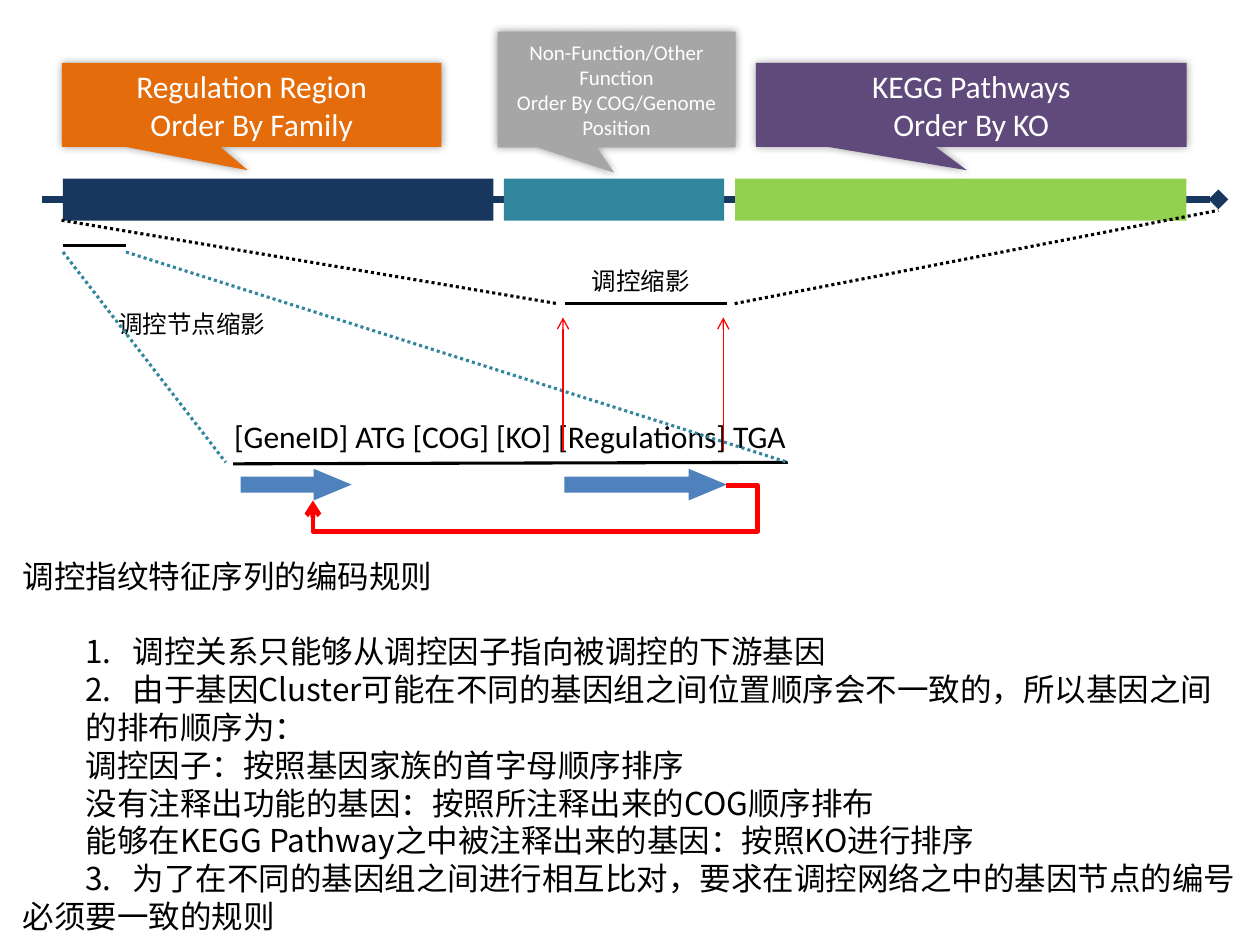
"""Builds the slide on the coding rules of regulation fingerprint sequences."""
from lxml import etree
from pptx import Presentation
from pptx import util as u
from pptx.dml.color import RGBColor
from pptx.enum import dml, shapes, text
from pptx.oxml.ns import qn

COLORS = {
    "navy": "17375E", "teal": "31859C", "green": "92D050", "orange": "E46C0A",
    "gray": "A6A6A6", "purple": "604A7B", "blue": "4F81BD", "red": "FF0000",
    "black": "000000", "white": "FFFFFF",
}
LATIN, CHINESE = "Calibri", "Noto Sans CJK SC"


def add_span(para, words, size, color, font):
    span = para.add_run()
    span.text = words
    span.font.size = u.Pt(size)
    span.font.name = font
    span.font.color.rgb = RGBColor.from_string(COLORS[color])
    if font == CHINESE:
        etree.SubElement(span.font._element, qn("a:ea"), typeface=font)


def add_line(kind, ends, color, width, dash=None, tail=None):
    line = page.shapes.add_connector(kind, *[u.Cm(value) for value in ends])
    line.line.color.rgb = RGBColor.from_string(COLORS[color])
    line.line.width = u.Pt(width)
    if dash:
        line.line.dash_style = dash
    properties = line._element.spPr
    if tail:
        etree.SubElement(properties.find(qn("a:ln")), qn("a:tailEnd"), type=tail)
    etree.SubElement(properties, qn("a:effectLst"))
    return line


deck = Presentation()
deck.slide_width, deck.slide_height = u.Cm(25.4), u.Cm(19.05)
page = deck.slides.add_slide(deck.slide_layouts[1])
STRAIGHT = shapes.MSO_CONNECTOR.STRAIGHT
DOTS = dml.MSO_LINE.ROUND_DOT

add_line(STRAIGHT, (0.84, 4.02, 24.56, 4.02), "navy", 3.75, tail="diamond")

RECTANGLE = shapes.MSO_SHAPE.RECTANGLE
CALLOUT = shapes.MSO_SHAPE.RECTANGULAR_CALLOUT
ARROW = shapes.MSO_SHAPE.RIGHT_ARROW
blocks = [
    (RECTANGLE, (1.27, 3.6, 8.68, 0.85), "navy", (), 0, ()),
    (RECTANGLE, (10.16, 3.6, 4.44, 0.85), "teal", (), 0, ()),
    (RECTANGLE, (14.82, 3.6, 9.1, 0.85), "green", (), 0, ()),
    (CALLOUT, (1.25, 1.27, 7.65, 1.69), "orange", (-0.01, 0.78), 18,
     ("Regulation Region", "Order By Family")),
    (CALLOUT, (10.03, 0.64, 4.8, 2.33), "gray", (-0.01, 0.72), 12,
     ("Non-Function/Other Function", "Order By COG/Genome Position")),
    (CALLOUT, (15.24, 1.27, 8.68, 1.69), "purple", (-0.01, 0.78), 18,
     ("KEGG Pathways", "Order By KO")),
    (ARROW, (11.38, 9.45, 3.27, 0.64), "blue", (0.5, 1.2), 0, ()),
    (ARROW, (4.85, 9.45, 2.24, 0.64), "blue", (0.5, 1.2), 0, ()),
]
for kind, place, color, adjustments, size, lines in blocks:
    block = page.shapes.add_shape(kind, *[u.Cm(value) for value in place])
    block.fill.solid()
    block.fill.fore_color.rgb = RGBColor.from_string(COLORS[color])
    block.line.fill.background()
    block.shadow.inherit = False
    for index, value in enumerate(adjustments):
        block.adjustments[index] = value
    if kind == CALLOUT:
        effects = block._element.spPr.find(qn("a:effectLst"))
        glow = etree.SubElement(effects, qn("a:outerShdw"), blurRad=str(u.Pt(5)),
                                dist="0", dir="0", algn="ctr", rotWithShape="0")
        shade = etree.SubElement(glow, qn("a:srgbClr"), val=COLORS["black"])
        etree.SubElement(shade, qn("a:alpha"), val="40000")
    frame = block.text_frame
    frame.vertical_anchor = text.MSO_ANCHOR.MIDDLE
    for index, words in enumerate(lines):
        para = frame.add_paragraph() if index else frame.paragraphs[0]
        para.alignment = text.PP_ALIGN.CENTER
        add_span(para, words, size, "white", LATIN)

labels = [
    ((4.47, 8.28, 14.4, 1.02), "[GeneID] ATG [COG] [KO] [Regulations] TGA", 18, LATIN, True),
    ((11.68, 5.23, 2.51, 0.86), "调控缩影", 14, CHINESE, False),
    ((2.13, 6.1, 3.51, 0.86), "调控节点缩影", 14, CHINESE, False),
]
for place, words, size, font, wrap in labels:
    box = page.shapes.add_textbox(*[u.Cm(value) for value in place])
    box.text_frame.word_wrap = wrap
    add_span(box.text_frame.paragraphs[0], words, size, "black", font)

for ends, color, dash in [
    ((11.38, 6.12, 14.66, 6.12), "black", None),
    ((1.24, 4.44, 11.23, 6.12), "black", DOTS),
    ((14.81, 6.12, 24.56, 4.24), "black", DOTS),
    ((1.27, 4.95, 2.54, 4.95), "black", None),
    ((4.7, 9.35, 15.88, 9.32), "black", None),
    ((1.27, 5.08, 4.55, 9.32), "teal", DOTS),
    ((2.54, 5.08, 15.88, 9.32), "teal", DOTS),
]:
    add_line(STRAIGHT, ends, color, 1.75, dash)
for left in (11.35, 14.58):
    add_line(STRAIGHT, (left, 9.09, left, 6.4), "red", 0.75, tail="arrow")

feedback = add_line(shapes.MSO_CONNECTOR.ELBOW, (14.64, 9.78, 6.31, 10.09),
                    "red", 2.75, tail="arrow")
geometry = feedback._element.spPr.find(qn("a:prstGeom"))
geometry.set("prst", "bentConnector4")
guides = geometry.get_or_add_avLst()
for name, value in (("adj1", -7600), ("adj2", 300000)):
    etree.SubElement(guides, qn("a:gd"), name=name, fmla=f"val {value}")

heading, rules = page.shapes.title, page.placeholders[1]
for holder, top, height in ((heading, 11.1, 1.02), (rules, 12.62, 6.43)):
    holder.left, holder.top = u.Cm(0.2), u.Cm(top)
    holder.width, holder.height = u.Cm(25.2), u.Cm(height)
    holder.text_frame.word_wrap = False
    holder.text_frame.auto_size = text.MSO_AUTO_SIZE.NONE
    holder.text_frame.vertical_anchor = text.MSO_ANCHOR.TOP
title = heading.text_frame.paragraphs[0]
title.alignment = text.PP_ALIGN.LEFT
add_span(title, "调控指纹特征序列的编码规则", 18, "black", CHINESE)

lines = [
    ("调控关系只能够从调控因子指向被调控的下游基因", 2.22, 1),
    ("由于基因Cluster可能在不同的基因组之间位置顺序会不一致的，所以基因之间", 2.22, 1),
    ("的排布顺序为：", 1.27, 0),
    ("调控因子：按照基因家族的首字母顺序排序", 1.27, 0),
    ("没有注释出功能的基因：按照所注释出来的COG顺序排布", 1.27, 0),
    ("能够在KEGG Pathway之中被注释出来的基因：按照KO进行排序", 1.27, 0),
    ("为了在不同的基因组之间进行相互比对，要求在调控网络之中的基因节点的编号", 2.22, 3),
    ("必须要一致的规则", 0, 0),
]
for index, (words, margin, start) in enumerate(lines):
    para = rules.text_frame.add_paragraph() if index else rules.text_frame.paragraphs[0]
    para.level = 1 if margin else 0
    para.space_before = u.Pt(0)
    settings = para._p.get_or_add_pPr()
    settings.set("marL", str(u.Cm(margin)))
    settings.set("indent", str(u.Cm(-0.95 if start else 0)))
    if start:
        etree.SubElement(settings, qn("a:buFont"), typeface=CHINESE)
        number = etree.SubElement(settings, qn("a:buAutoNum"), type="arabicPeriod")
        if start > 1:
            number.set("startAt", str(start))
    else:
        etree.SubElement(settings, qn("a:buNone"))
    add_span(para, words, 18, "black", CHINESE)

deck.save("out.pptx")
